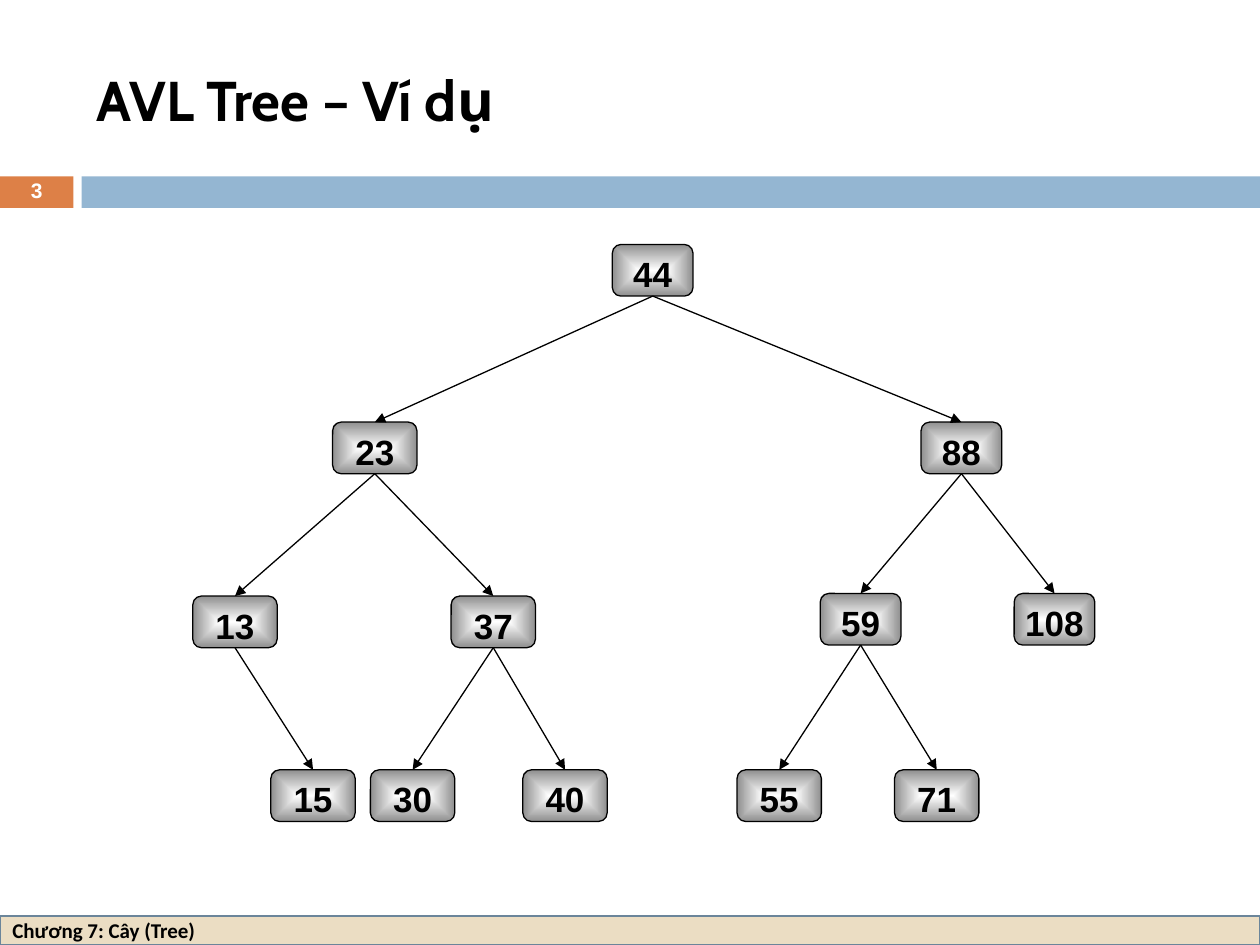
import pptx
import pptx.dml.color
import pptx.enum.shapes
import pptx.enum.text
import pptx.oxml.ns
import pptx.util
from dataclasses import dataclass
from lxml import etree

Pt = pptx.util.Pt
qn = pptx.oxml.ns.qn
Shape = pptx.enum.shapes.MSO_SHAPE
Align = pptx.enum.text.PP_ALIGN
Anchor = pptx.enum.text.MSO_ANCHOR


@dataclass(frozen=True)
class Theme:
    ink: str = "000000"
    white: str = "FFFFFF"
    node_edge: str = "8F8F8F"
    orange: str = "DD8047"
    blue: str = "94B6D2"
    sand: str = "EBDDC3"
    footer_line: str = "6B859A"
    title_font: str = "Cabin"
    body_font: str = "Arial"
    footer_font: str = "Calibri"
    title_size: int = 32
    node_size: int = 20
    small_size: int = 12


THEME = Theme()

TITLE = "AVL Tree – Ví dụ"
PAGE_NUMBER = "3"
FOOTER = "Chương 7: Cây (Tree)"

LEFT_TOPS = (139.7, 241.2, 340.6, 439.9)
RIGHT_TOPS = (139.7, 241.2, 339.1, 439.9)
WIDE, NARROW, NODE_HEIGHT = 48.2, 46.1, 29.5

NODES = [
    ("44", 373, LEFT_TOPS[0], NARROW),
    ("23", 214.2, LEFT_TOPS[1], WIDE),
    ("88", 549.4, RIGHT_TOPS[1], NARROW),
    ("13", 134.3, LEFT_TOPS[2], WIDE),
    ("37", 281.9, LEFT_TOPS[2], WIDE),
    ("59", 491.8, RIGHT_TOPS[2], NARROW),
    ("108", 602.6, RIGHT_TOPS[2], NARROW),
    ("15", 178.9, LEFT_TOPS[3], WIDE),
    ("30", 235.8, LEFT_TOPS[3], WIDE),
    ("40", 322.9, LEFT_TOPS[3], WIDE),
    ("55", 445.3, RIGHT_TOPS[3], WIDE),
    ("71", 535.3, RIGHT_TOPS[3], WIDE),
]
CHILDREN = {
    "44": ("23", "88"),
    "23": ("13", "37"),
    "88": ("59", "108"),
    "13": ("15",),
    "37": ("30", "40"),
    "59": ("55", "71"),
}


def color(value):
    return pptx.dml.color.RGBColor.from_string(value)


def write(box, text, *, font, size, ink=THEME.ink, align=Align.LEFT,
          anchor=Anchor.MIDDLE, spacing=None, insets=(7.2, 3.6)):
    frame = box.text_frame
    frame.word_wrap = True
    frame.vertical_anchor = anchor
    frame.margin_left = frame.margin_right = Pt(insets[0])
    frame.margin_top = frame.margin_bottom = Pt(insets[1])
    para = frame.paragraphs[0]
    para.alignment = align
    if spacing:
        para.line_spacing = spacing
    span = para.add_run()
    span.text = text
    span.font.name = font
    span.font.size = Pt(size)
    span.font.bold = True
    span.font.color.rgb = color(ink)


def add_box(page, kind, left, top, width, height, fill=None, line=None, weight=0.75):
    box = page.shapes.add_shape(kind, Pt(left), Pt(top), Pt(width), Pt(height))
    box.shadow.inherit = False
    if fill:
        box.fill.solid()
        box.fill.fore_color.rgb = color(fill)
    if line:
        box.line.color.rgb = color(line)
        box.line.width = Pt(weight)
    else:
        box.line.fill.background()
    return box


def shade_from_center(box):
    box.fill.gradient()
    for stop, value in zip(box.fill.gradient_stops, (THEME.white, THEME.node_edge)):
        stop.color.rgb = color(value)
    gradient = box._element.spPr.find(qn("a:gradFill"))
    linear = gradient.find(qn("a:lin"))
    radial = etree.Element(qn("a:path"), {"path": "rect"})
    sides = {side: "50000" for side in "ltrb"}
    etree.SubElement(radial, qn("a:fillToRect"), sides)
    gradient.replace(linear, radial)


def add_node(page, label, center, top, width):
    box = add_box(page, Shape.ROUNDED_RECTANGLE, center - width / 2, top,
                  width, NODE_HEIGHT, line=THEME.ink)
    shade_from_center(box)
    write(box, label, font=THEME.body_font, size=THEME.node_size,
          align=Align.CENTER, anchor=Anchor.TOP, spacing=1.13, insets=(0, 0))
    return box


def add_arrow(page, parent, child):
    arrow = page.shapes.add_connector(pptx.enum.shapes.MSO_CONNECTOR.STRAIGHT, 0, 0, 0, 0)
    arrow.begin_connect(parent, 2)
    arrow.end_connect(child, 0)
    arrow.line.color.rgb = color(THEME.ink)
    arrow.line.width = Pt(0.75)
    etree.SubElement(arrow.line._get_or_add_ln(), qn("a:tailEnd"), {"type": "triangle"})
    etree.SubElement(arrow._element.spPr, qn("a:effectLst"))


def main():
    deck = pptx.Presentation()
    deck.slide_width, deck.slide_height = Pt(720), Pt(540)
    page = deck.slides.add_slide(deck.slide_layouts[6])

    add_box(page, Shape.RECTANGLE, 0, 100.8, 42, 18, THEME.orange)
    add_box(page, Shape.RECTANGLE, 46.6, 100.8, 673.4, 18, THEME.blue)
    footer = add_box(page, Shape.RECTANGLE, 0, 523.4, 720, 16.6,
                     THEME.sand, THEME.footer_line, 1.5)
    write(footer, FOOTER, font=THEME.footer_font, size=THEME.small_size)

    title = page.shapes.add_textbox(Pt(48.2), Pt(18), Pt(642.2), Pt(77.8))
    write(title, TITLE, font=THEME.title_font, size=THEME.title_size)
    number = page.shapes.add_textbox(0, Pt(100.1), Pt(42), Pt(19.4))
    write(number, PAGE_NUMBER, font=THEME.body_font, size=THEME.small_size,
          ink=THEME.white, align=Align.CENTER, spacing=0.8)

    boxes = {node[0]: add_node(page, *node) for node in NODES}
    for parent, children in CHILDREN.items():
        for child in children:
            add_arrow(page, boxes[parent], boxes[child])

    deck.save("out.pptx")


if __name__ == "__main__":
    main()
